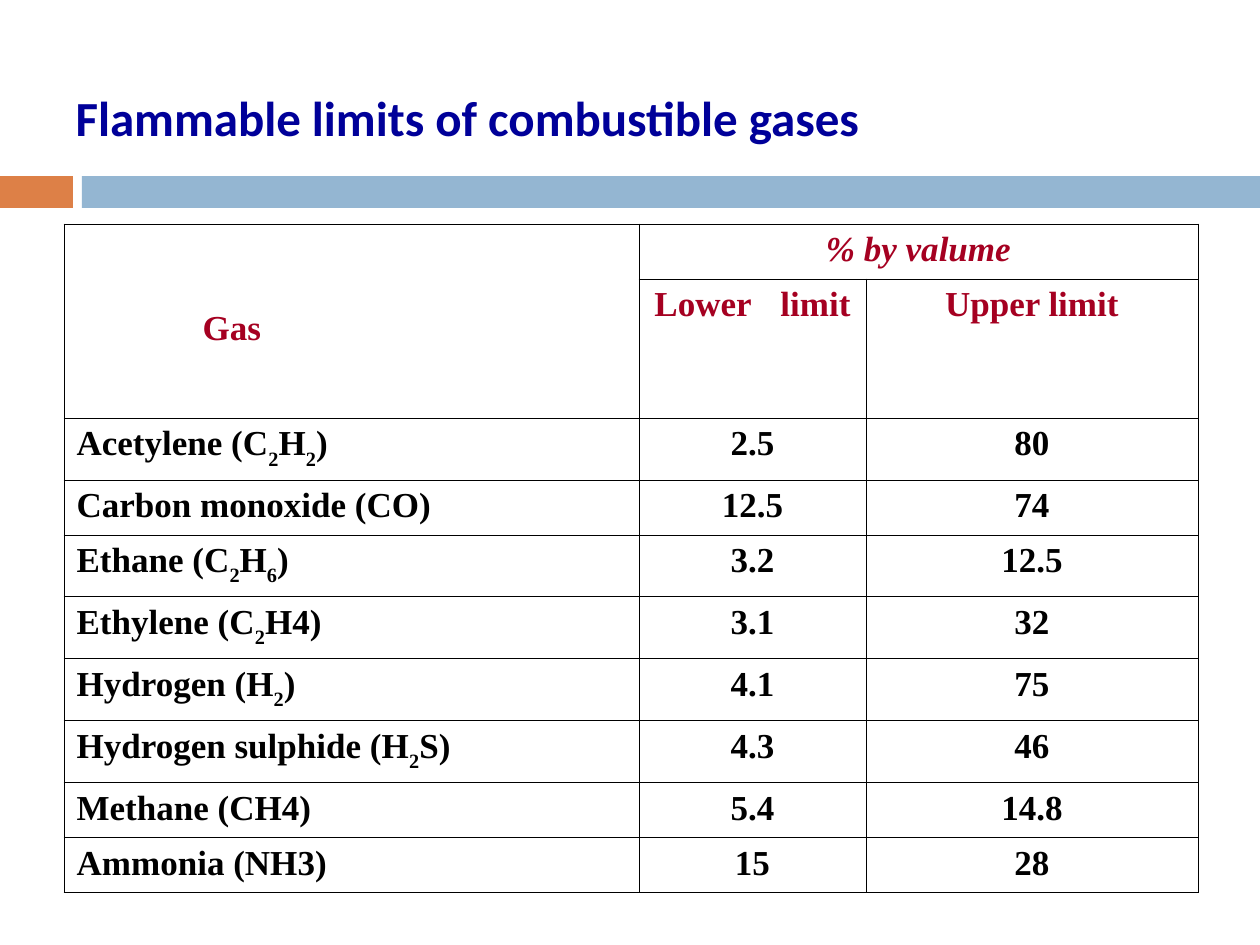
from dataclasses import dataclass

from lxml.etree import SubElement
from pptx import Presentation
from pptx.dml.color import RGBColor as RGB
from pptx.enum.shapes import MSO_SHAPE as Shape
from pptx.enum.text import MSO_ANCHOR as Anchor, PP_ALIGN as Align
from pptx.oxml import parse_xml
from pptx.oxml.ns import nsdecls, qn
from pptx.util import Pt

PX = 914400 // 126


@dataclass(frozen=True)
class Theme:
    """Colours, fonts and type sizes of the slide."""
    title: str = "000099"
    heading: str = "A50021"
    ink: str = "000000"
    orange: str = "DD8047"
    blue: str = "94B6D2"
    title_font: str = "Calibri"
    table_font: str = "Times New Roman"
    title_size: int = 28
    table_size: int = 20
    border: float = 0.45


THEME = Theme()
COLUMNS = (575, 227, 332)
HEADING_ROWS = (55, 139)
PLAIN_ROW, SUBSCRIPT_ROW = 55, 62
TAB_STOP = 126
GASES = (
    ("Acetylene (C|2|H|2|)", "2.5", "80"),
    ("Carbon monoxide (CO)", "12.5", "74"),
    ("Ethane (C|2|H|6|)", "3.2", "12.5"),
    ("Ethylene (C|2|H4)", "3.1", "32"),
    ("Hydrogen (H|2|)", "4.1", "75"),
    ("Hydrogen sulphide (H|2|S)", "4.3", "46"),
    ("Methane (CH4)", "5.4", "14.8"),
    ("Ammonia (NH3)", "15", "28"),
)


def px(*lengths):
    """Turn pixel lengths into EMU."""
    return [length * PX for length in lengths]


def add_run(paragraph, text, font_name, size, color, italic=False):
    """Add one bold run to a paragraph."""
    run = paragraph.add_run()
    run.text = text
    font = run.font
    font.name, font.size, font.bold, font.italic = font_name, Pt(size), True, italic
    font.color.rgb = RGB.from_string(color)
    return run


def add_bar(slide, left, width, color):
    """Add one part of the band below the title."""
    bar = slide.shapes.add_shape(Shape.RECTANGLE, *px(left, 176, width, 32))
    bar.shadow.inherit = False
    bar.fill.solid()
    bar.fill.fore_color.rgb = RGB.from_string(color)
    bar.line.fill.background()


def set_title(slide, text):
    """Place and fill the title placeholder."""
    title = slide.shapes.title
    title.left, title.top, title.width, title.height = px(63, 38, 1197, 157)
    frame = title.text_frame
    frame.word_wrap = True
    frame.vertical_anchor = Anchor.MIDDLE
    paragraph = frame.paragraphs[0]
    paragraph.alignment = Align.LEFT
    add_run(paragraph, text, THEME.title_font, THEME.title_size, THEME.title)


def set_borders(cell):
    """Clear the cell's fill and draw its four sides."""
    cell.fill.background()
    properties = cell._tc.get_or_add_tcPr()
    for position, side in enumerate("LRTB"):
        properties.insert(position, parse_xml(
            f'<a:ln{side} {nsdecls("a")} w="{Pt(THEME.border)}"><a:solidFill>'
            f'<a:srgbClr val="{THEME.ink}"/></a:solidFill></a:ln{side}>'))


def fill_cell(cell, text, color, align=Align.CENTER, italic=False):
    """Write a cell, with every second piece between bars as a subscript."""
    paragraph = cell.text_frame.paragraphs[0]
    paragraph.alignment = align
    for index, piece in enumerate(text.split("|")):
        run = add_run(paragraph, piece, THEME.table_font, THEME.table_size, color, italic)
        if index % 2:
            run._r.get_or_add_rPr().set("baseline", "-30000")
    return paragraph


def fill_headings(table):
    """Merge and write the two heading rows."""
    table.cell(0, 0).merge(table.cell(1, 0))
    table.cell(0, 1).merge(table.cell(0, 2))
    gas = table.cell(0, 0)
    gas.vertical_anchor = Anchor.MIDDLE
    gas.margin_top = 22 * PX
    gas_heading = fill_cell(gas, "Gas", THEME.heading, Align.LEFT)
    gas_heading._p.get_or_add_pPr().set("marL", str(TAB_STOP * PX))
    fill_cell(table.cell(0, 1), "% by valume", THEME.heading, italic=True)
    lower = fill_cell(table.cell(1, 1), "Lower\tlimit", THEME.heading)
    stops = SubElement(lower._p.get_or_add_pPr(), qn("a:tabLst"))
    SubElement(stops, qn("a:tab"), pos=str(TAB_STOP * PX), algn="l")
    fill_cell(table.cell(1, 2), "Upper limit", THEME.heading)


def add_limits_table(slide):
    """Add the table of flammable limits."""
    heights = HEADING_ROWS + tuple(
        SUBSCRIPT_ROW if "|" in gas else PLAIN_ROW for gas, *_ in GASES)
    table = slide.shapes.add_table(
        len(heights), len(COLUMNS), *px(64, 224, sum(COLUMNS), sum(heights))).table
    table.first_row = table.horz_banding = False
    for column, width in zip(table.columns, COLUMNS):
        column.width = width * PX
    for row, height in zip(table.rows, heights):
        row.height = height * PX
    for cell in table.iter_cells():
        set_borders(cell)
    fill_headings(table)
    for row, limits in enumerate(GASES, len(HEADING_ROWS)):
        for column, text in enumerate(limits):
            align = Align.CENTER if column else Align.LEFT
            fill_cell(table.cell(row, column), text, THEME.ink, align)


def main():
    """Build and save the slide."""
    deck = Presentation()
    deck.slide_width, deck.slide_height = px(1260, 945)
    slide = deck.slides.add_slide(deck.slide_layouts[5])
    add_bar(slide, 0, 73, THEME.orange)
    add_bar(slide, 82, 1178, THEME.blue)
    set_title(slide, "Flammable limits of combustible gases")
    add_limits_table(slide)
    deck.save("out.pptx")


if __name__ == "__main__":
    main()
